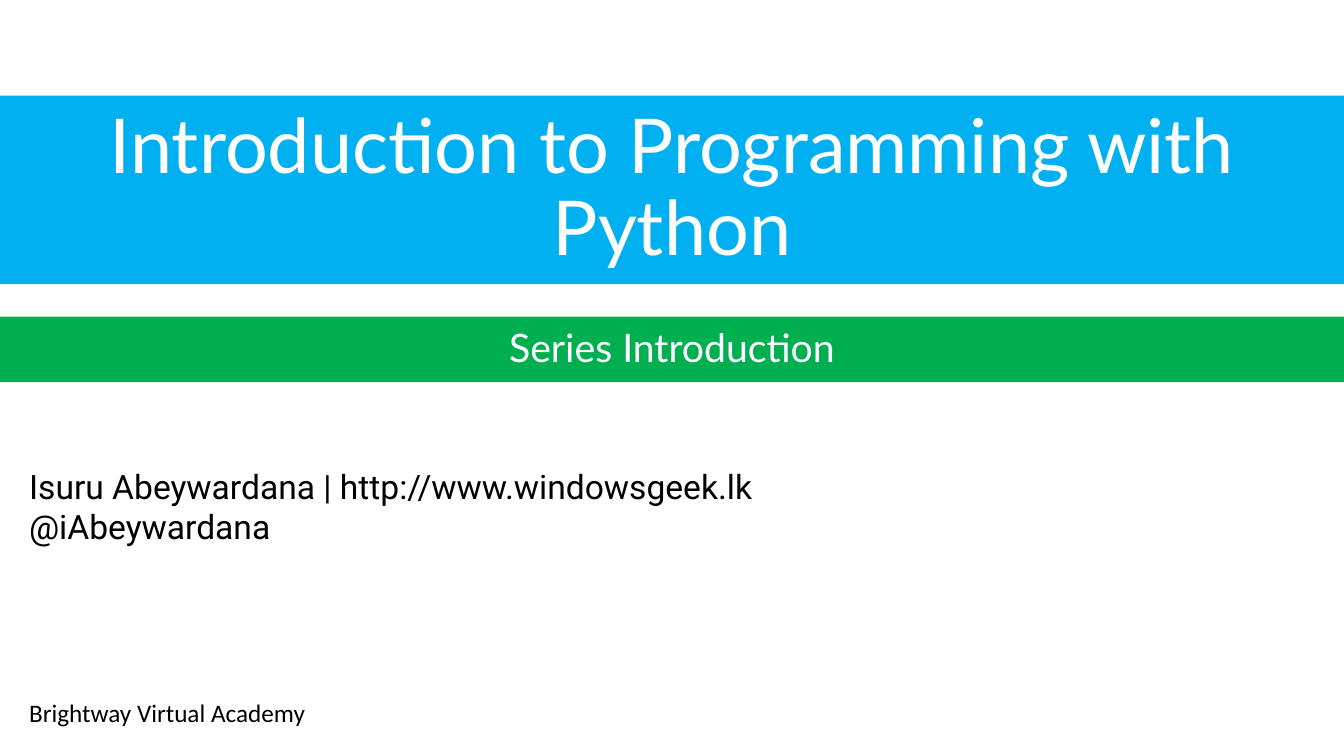
from pptx import Presentation
from pptx.dml.color import RGBColor
from pptx.enum.shapes import MSO_SHAPE as Preset
from pptx.enum.text import MSO_ANCHOR as Anchor, PP_ALIGN as Align
from pptx.util import Pt

SLIDE_WIDTH, SLIDE_HEIGHT = 960, 540
MARGIN = 13.7


def color(hex_string):
    """Turn a hex string into a colour."""
    return RGBColor.from_string(hex_string)


def write_line(paragraph, wording, font_name, size, ink):
    """Add one run of text to a paragraph."""
    run = paragraph.add_run()
    run.text = wording
    run.font.name = font_name
    run.font.size = Pt(size)
    run.font.color.rgb = color(ink)


def add_banner(slide, top, height, wording, size, fill):
    """Draw a full-width coloured band with centred text."""
    banner = slide.shapes.add_shape(
        Preset.RECTANGLE, 0, Pt(top), Pt(SLIDE_WIDTH), Pt(height))
    banner.shadow.inherit = False
    banner.fill.solid()
    banner.fill.fore_color.rgb = color(fill)
    banner.line.fill.background()
    banner.text_frame.word_wrap = True
    banner.text_frame.vertical_anchor = Anchor.MIDDLE
    heading = banner.text_frame.paragraphs[0]
    heading.alignment = Align.CENTER
    heading.line_spacing = 0.9
    write_line(heading, wording, "Lato", size, "FFFFFF")


def add_note(slide, top, width, height, lines, font_name, size):
    """Place left-aligned lines of black text at the margin."""
    note = slide.shapes.add_textbox(Pt(MARGIN), Pt(top), Pt(width), Pt(height))
    frame = note.text_frame
    frame.word_wrap = True
    for index, wording in enumerate(lines):
        paragraph = frame.add_paragraph() if index else frame.paragraphs[0]
        paragraph.alignment = Align.LEFT
        write_line(paragraph, wording, font_name, size, "000000")


def main():
    """Build the title slide and save it."""
    deck = Presentation()
    deck.slide_width, deck.slide_height = Pt(SLIDE_WIDTH), Pt(SLIDE_HEIGHT)
    slide = deck.slides.add_slide(deck.slide_layouts[6])
    add_banner(slide, 68.4, 134.6,
               "Introduction to Programming with Python", 54, "00B0F0")
    add_banner(slide, 226.1, 46.8, "Series Introduction", 28, "00B050")
    add_note(slide, 494.6, 231.8, 29, ["Brightway Virtual Academy"],
             "Calibri", 18)
    add_note(slide, 329, 612.7, 65.5,
             ["Isuru Abeywardana | http://www.windowsgeek.lk",
              "@iAbeywardana"], "Roboto", 24)
    deck.save("out.pptx")


if __name__ == "__main__":
    main()
